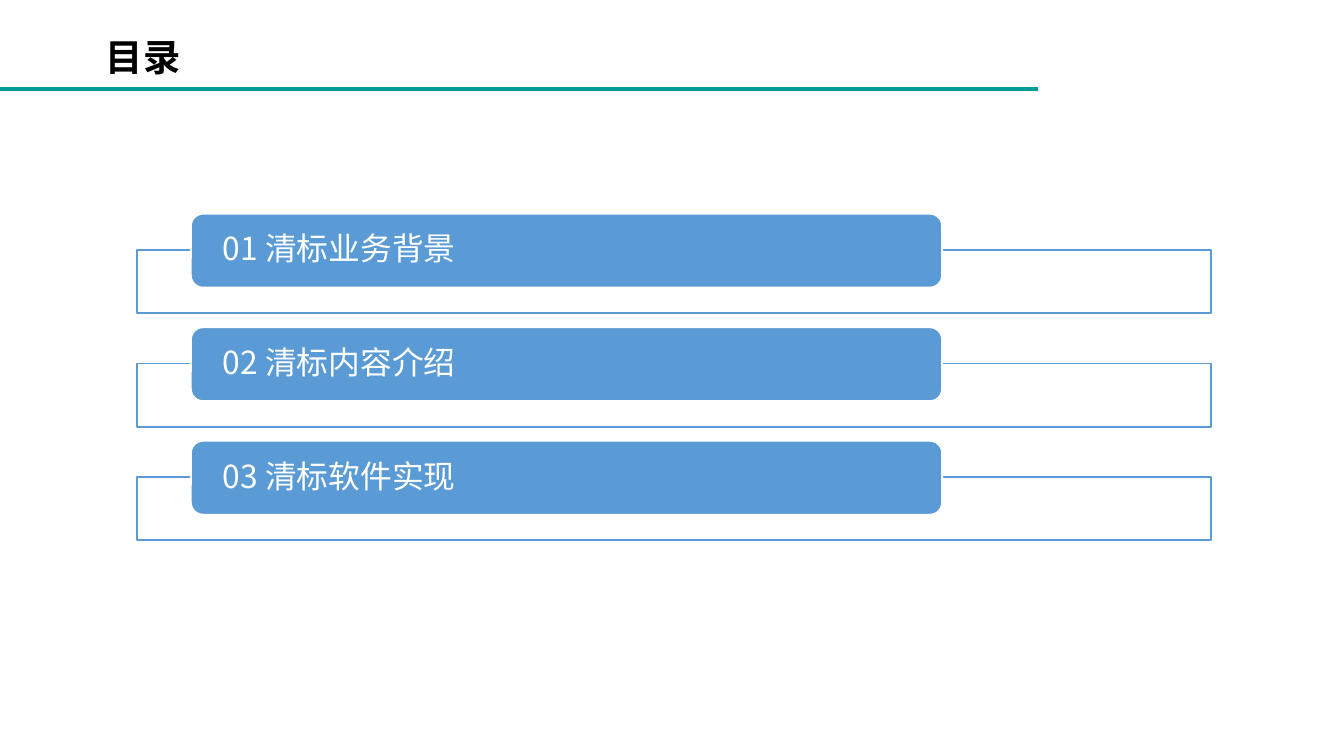
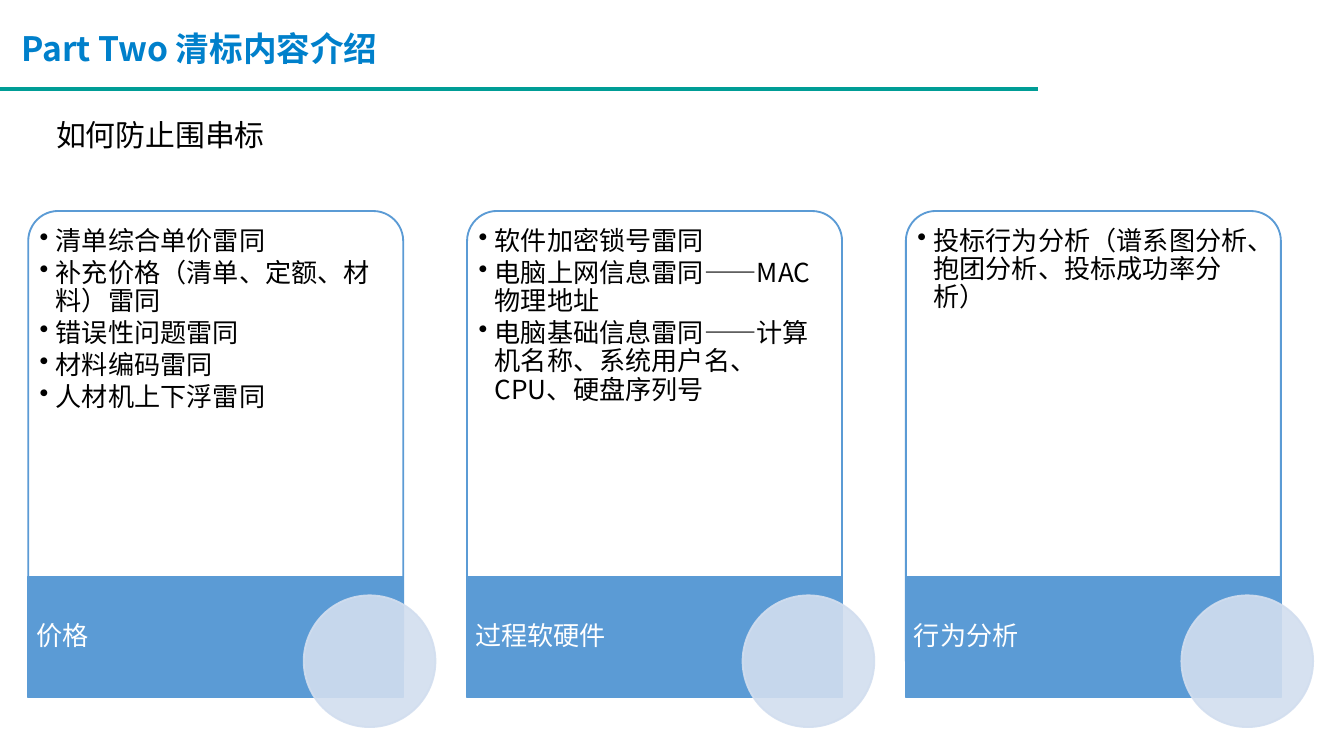
from dataclasses import dataclass

from lxml.etree import SubElement
from pptx import Presentation
from pptx.dml.color import RGBColor as RGB
from pptx.enum.shapes import MSO_CONNECTOR as LINE, MSO_SHAPE as SHAPE
from pptx.enum.text import MSO_ANCHOR as ANCHOR, PP_ALIGN as ALIGN
from pptx.oxml.ns import qn
from pptx.util import Inches, Pt


@dataclass(frozen=True)
class Theme:
    font: str = "Noto Sans CJK SC"
    rule: RGB = RGB(0x00, 0x9D, 0x96)
    heading: RGB = RGB(0x00, 0x80, 0xCB)
    accent: RGB = RGB(0x5B, 0x9B, 0xD5)
    pale: RGB = RGB(0xD2, 0xDE, 0xEF)
    white: RGB = RGB(0xFF, 0xFF, 0xFF)
    black: RGB = RGB(0x00, 0x00, 0x00)
    title_size: int = 20
    heading_size: int = 18
    agenda_size: int = 17
    subtitle_size: int = 16
    card_size: int = 14
    tight: float = 0.9
    opacity: int = 90


THEME = Theme()

AGENDA = ["01 清标业务背景", "02 清标内容介绍", "03 清标软件实现"]

CARDS = [
    ("价格", ["清单综合单价雷同", "补充价格（清单、定额、材料）雷同", "错误性问题雷同",
            "材料编码雷同", "人材机上下浮雷同"]),
    ("过程软硬件", ["软件加密锁号雷同", "电脑上网信息雷同——MAC物理地址",
               "电脑基础信息雷同——计算机名称、系统用户名、CPU、硬盘序列号"]),
    ("行为分析", ["投标行为分析（谱系图分析、抱团分析、投标成功率分析）"]),
]


def inches(*lengths):
    return [Inches(length) for length in lengths]


def spread(first, last, count):
    """Return evenly spaced offsets from first to last."""
    return [first + (last - first) * index / (count - 1) for index in range(count)]


def set_opacity(color_format_parent):
    """Apply the theme opacity to the solid colour inside an XML element."""
    color = color_format_parent.find(qn("a:solidFill"))[0]
    SubElement(color, qn("a:alpha"), val=str(THEME.opacity * 1000))


def add_block(slide, kind, box, fill, outline, translucent=False):
    block = slide.shapes.add_shape(kind, *inches(*box))
    block.shadow.inherit = False
    block.fill.solid()
    block.fill.fore_color.rgb = fill
    block.line.color.rgb = outline
    block.line.width = Pt(1)
    if translucent:
        set_opacity(block._element.spPr)
    return block


def set_frame(frame, anchor, insets):
    """Insets run left, top, right, bottom."""
    frame.word_wrap = True
    frame.vertical_anchor = anchor
    (frame.margin_left, frame.margin_top,
     frame.margin_right, frame.margin_bottom) = inches(*insets)


def write(paragraph, wording, size, color, bold=False, spacing=THEME.tight):
    paragraph.alignment = ALIGN.LEFT
    paragraph.line_spacing = spacing
    run = paragraph.add_run()
    run.text = wording
    run.font.size = Pt(size)
    run.font.name = THEME.font
    run.font.bold = bold
    run.font.color.rgb = color
    SubElement(run.font._element, qn("a:ea"), typeface=THEME.font)


def add_bullet(paragraph, indent):
    props = paragraph._p.get_or_add_pPr()
    props.set("marL", str(Inches(indent)))
    props.set("indent", str(-Inches(indent)))
    SubElement(props, qn("a:buChar"), char="•")


def add_label(slide, box, wording, size, color, bold=False, spacing=None, wrap=True):
    label = slide.shapes.add_textbox(*inches(*box)).text_frame
    set_frame(label, ANCHOR.TOP, (0.1, 0.05, 0.1, 0.05))
    label.word_wrap = wrap
    write(label.paragraphs[0], wording, size, color, bold, spacing)


def new_slide(deck):
    """Add a blank slide with the shared rule under its heading."""
    slide = deck.slides.add_slide(deck.slide_layouts[6])
    rule = slide.shapes.add_connector(LINE.STRAIGHT, *inches(0, 0.66, 7.72, 0.66))
    rule.line.color.rgb = THEME.rule
    rule.line.width = Pt(2)
    SubElement(rule._element.spPr, qn("a:effectLst"))
    return slide


def add_agenda_entry(slide, left, top, wording):
    add_block(slide, SHAPE.RECTANGLE, (left, top + 0.27, 7.99, 0.47),
              THEME.white, THEME.accent, translucent=True)
    pill = add_block(slide, SHAPE.ROUNDED_RECTANGLE, (left + 0.4, top, 5.59, 0.55),
                     THEME.accent, THEME.white)
    set_frame(pill.text_frame, ANCHOR.MIDDLE, (0.21, 0, 0.21, 0))
    write(pill.text_frame.paragraphs[0], wording, THEME.agenda_size, THEME.white)


def add_card(slide, left, top, name, points):
    width, base_top = 2.79, top + 2.72
    panel = add_block(slide, SHAPE.ROUND_2_SAME_RECTANGLE, (left, top, width, 3.35),
                      THEME.white, THEME.accent, translucent=True)
    panel.adjustments[0] = 0.08
    frame = panel.text_frame
    set_frame(frame, ANCHOR.TOP, (0.02, 0.06, 0.02, 0.02))
    for index, point in enumerate(points):
        paragraph = frame.add_paragraph() if index else frame.paragraphs[0]
        paragraph.level = 1
        write(paragraph, point, THEME.card_size, THEME.black)
        paragraph.space_after = Pt(2)
        add_bullet(paragraph, 0.12)

    base = add_block(slide, SHAPE.RECTANGLE, (left, base_top, width, 0.9),
                     THEME.accent, THEME.accent)
    set_frame(base.text_frame, ANCHOR.MIDDLE, (0.06, 0, 0.84, 0))
    write(base.text_frame.paragraphs[0], name, THEME.card_size, THEME.white)

    disc = add_block(slide, SHAPE.OVAL, (left + 2.05, base_top + 0.14, 0.98, 0.98),
                     THEME.pale, THEME.pale, translucent=True)
    set_opacity(disc.line._ln)


def build_agenda(deck):
    slide = new_slide(deck)
    add_label(slide, (0.69, 0.24, 8.62, 0.42), "目录", THEME.title_size, THEME.black,
              bold=True, spacing=THEME.tight)
    for top, wording in zip(spread(1.59, 3.28, len(AGENDA)), AGENDA):
        add_agenda_entry(slide, 1.02, top, wording)


def build_collusion_checks(deck):
    slide = new_slide(deck)
    add_label(slide, (0.06, 0.16, 2.92, 0.4), "Part Two 清标内容介绍", THEME.heading_size,
              THEME.heading, bold=True, wrap=False)
    for left, (name, points) in zip(spread(0.21, 6.74, len(CARDS)), CARDS):
        add_card(slide, left, 1.57, name, points)
    add_label(slide, (0.32, 0.82, 2.01, 0.37), "如何防止围串标", THEME.subtitle_size, THEME.black)


def main():
    deck = Presentation()
    deck.slide_width = Inches(10)
    deck.slide_height = deck.slide_width * 9 // 16
    build_agenda(deck)
    build_collusion_checks(deck)
    deck.save("out.pptx")


if __name__ == "__main__":
    main()
